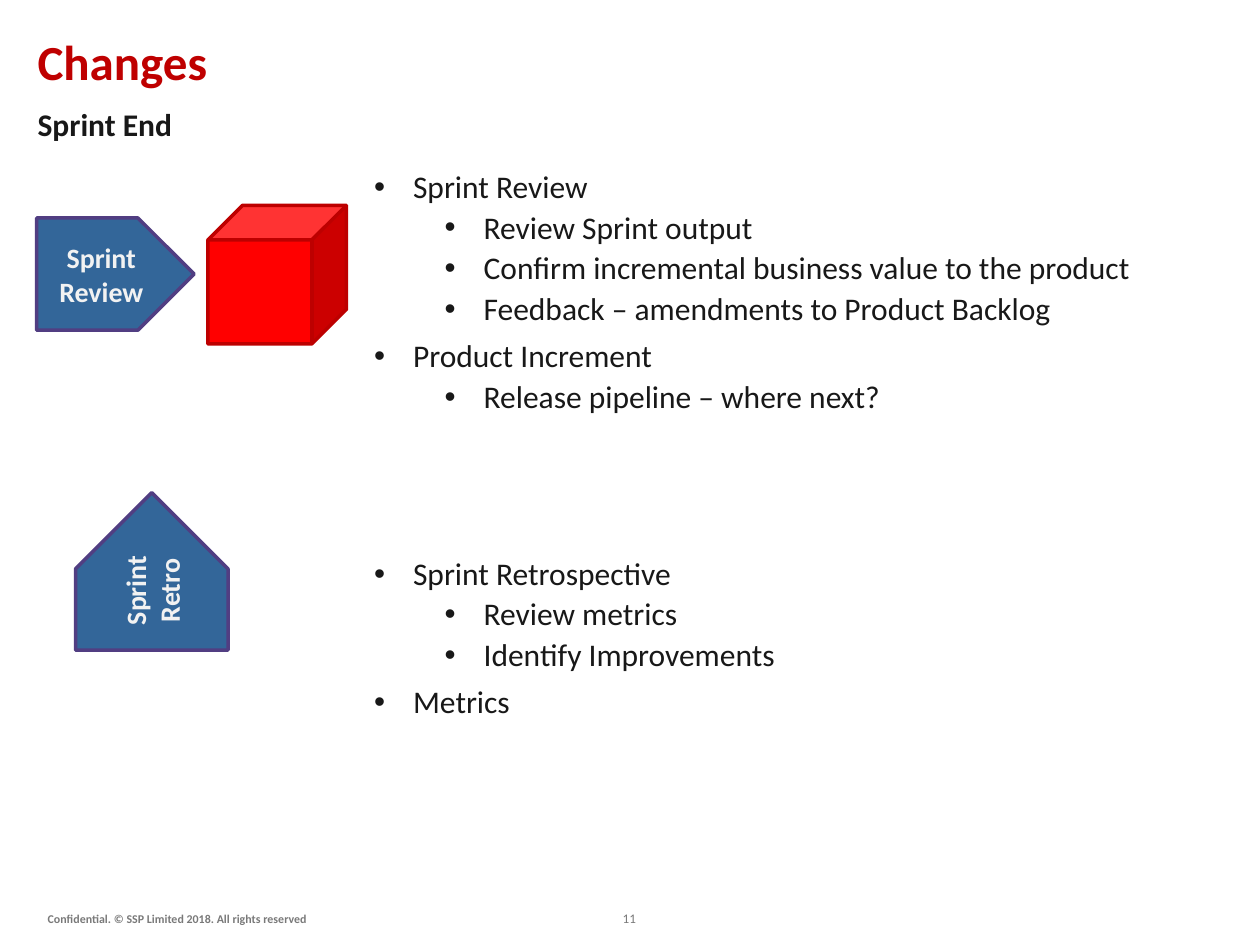
import pptx
import pptx.util
import pptx.dml.color
import pptx.enum.shapes
import pptx.enum.text
from lxml import etree

Inches = pptx.util.Inches
Pt = pptx.util.Pt
SHAPE = pptx.enum.shapes.MSO_SHAPE
ALIGN = pptx.enum.text.PP_ALIGN
ANCHOR = pptx.enum.text.MSO_ANCHOR

FONT = "Calibri"
COLORS = {
    "title": "BF0000",
    "text": "181818",
    "footer": "797979",
    "cube": "FF0000",
    "cube_line": "BD0000",
    "arrow": "336699",
    "arrow_line": "513E82",
    "arrow_text": "F2F2F2",
}
INDENTS = [0.31, 0.87]
SPACES = [7.5, 3.8]
REVIEW = [
    (0, "Sprint Review"),
    (1, "Review Sprint output"),
    (1, "Confirm incremental business value to the product"),
    (1, "Feedback – amendments to Product Backlog"),
    (0, "Product Increment"),
    (1, "Release pipeline – where next?"),
]
RETRO = [
    (0, "Sprint Retrospective"),
    (1, "Review metrics"),
    (1, "Identify Improvements"),
    (0, "Metrics"),
]


def rgb(name):
    return pptx.dml.color.RGBColor.from_string(COLORS[name])


def add_run(p, text, size, color, bold=False):
    r = p.add_run()
    r.text = text
    r.font.name = FONT
    r.font.size = Pt(size)
    r.font.bold = bold
    r.font.color.rgb = rgb(color)


def add_box(s, box):
    tf = s.shapes.add_textbox(*map(Inches, box)).text_frame
    tf.word_wrap = True
    return tf


def add_heading(s, box, text, size, color):
    p = add_box(s, box).paragraphs[0]
    p.line_spacing = 0.9
    add_run(p, text, size, color, bold=True)


def add_footer(s, box, text, size, bold, align, margin):
    tf = add_box(s, box)
    tf.vertical_anchor = ANCHOR.MIDDLE
    tf.margin_left = tf.margin_right = Inches(margin)
    tf.margin_top = tf.margin_bottom = 0
    p = tf.paragraphs[0]
    p.alignment = align
    add_run(p, text, size, "footer", bold)


def set_bullet(p, level):
    pPr = p._p.get_or_add_pPr()
    pPr.set("marL", str(Inches(INDENTS[level])))
    pPr.set("indent", str(-Inches(INDENTS[0])))
    ns = pptx.oxml.ns.qn
    etree.SubElement(pPr, ns("a:buFont")).set("typeface", "Arial")
    etree.SubElement(pPr, ns("a:buChar")).set("char", "•")


def add_bullets(s, box, items):
    tf = add_box(s, box)
    for i, (level, text) in enumerate(items):
        p = tf.add_paragraph() if i else tf.paragraphs[0]
        set_bullet(p, level)
        p.level = level
        p.line_spacing = 0.9
        if i:
            p.space_before = Pt(SPACES[level])
        add_run(p, text, 18, "text")


def add_shape(s, kind, box, color):
    sp = s.shapes.add_shape(kind, *map(Inches, box))
    sp.shadow.inherit = False
    sp.fill.solid()
    sp.fill.fore_color.rgb = rgb(color)
    sp.line.color.rgb = rgb(color + "_line")
    sp.line.width = Pt(2)
    return sp


def add_arrow(s, box, text, rotation=0):
    sp = add_shape(s, SHAPE.PENTAGON, box, "arrow")
    sp.rotation = rotation
    tf = sp.text_frame
    tf.word_wrap = True
    tf.vertical_anchor = ANCHOR.MIDDLE
    p = tf.paragraphs[0]
    p.alignment = ALIGN.CENTER
    add_run(p, text, 16, "arrow_text", bold=True)


def main():
    prs = pptx.Presentation()
    prs.slide_width = Inches(10)
    prs.slide_height = Inches(7.5)
    s = prs.slides.add_slide(prs.slide_layouts[6])

    add_heading(s, (0.2, 0.25, 9.39, 0.45), "Changes", 28, "title")
    add_heading(s, (0.2, 0.82, 9.39, 0.48), "Sprint End", 18, "text")
    add_bullets(s, (2.87, 1.31, 6.71, 2.46), REVIEW)
    add_shape(s, SHAPE.CUBE, (1.65, 1.63, 1.1, 1.1), "cube")
    add_arrow(s, (0.29, 1.73, 1.25, 0.89), "Sprint Review")
    add_arrow(s, (0.58, 3.93, 1.25, 1.21), "Sprint Retro", rotation=270)
    add_bullets(s, (2.87, 4.38, 6.71, 2.69), RETRO)
    add_footer(s, (0.28, 7.14, 2.54, 0.31),
               "Confidential. © SSP Limited 2018. All rights reserved",
               6.8, True, ALIGN.LEFT, 0.1)
    add_footer(s, (4.79, 7.21, 0.41, 0.16), "11", 7.5, False, ALIGN.CENTER, 0)

    prs.save("out.pptx")


if __name__ == "__main__":
    main()
